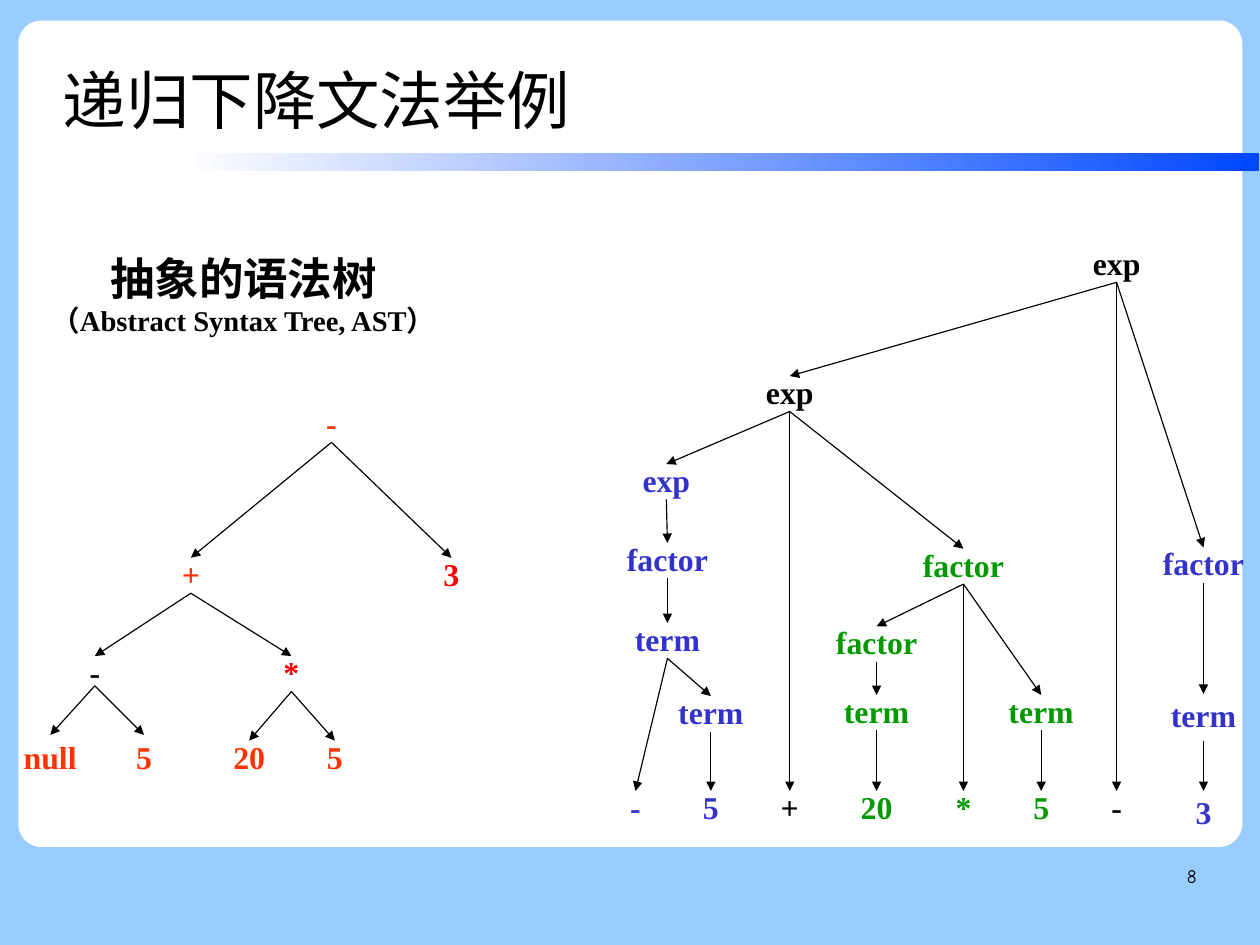
from dataclasses import dataclass

from lxml.etree import SubElement
from pptx import Presentation
from pptx.dml.color import RGBColor
from pptx.enum.shapes import MSO_CONNECTOR as CONN, MSO_SHAPE as SHAPE
from pptx.enum.text import MSO_ANCHOR as ANCHOR, MSO_AUTO_SIZE as AUTO, PP_ALIGN as ALIGN
from pptx.oxml.ns import qn
from pptx.util import Inches, Pt

BLACK, BLUE, GREEN = "000000", "3333CC", "009900"
ORANGE, RED, WHITE = "FF3300", "FF0000", "FFFFFF"
SERIF, CJK = "Times New Roman", "Noto Sans CJK SC"
NODE_WIDTHS = {"exp": 0.42, "term": 0.57, "factor": 0.71, "null": 0.46,
               "20": 0.28, "+": 0.16, "-": 0.09}
NODE_HEIGHT = 0.31
LEAF_Y = 6.92


def rgb(color):
    return RGBColor.from_string(color)


@dataclass
class Node:
    text: str
    x: float
    y: float
    color: str
    kids: tuple = ()
    pad: float = 0
    lift: float = 0


class Slide:
    def __init__(self, prs, background):
        self.s = prs.slides.add_slide(prs.slide_layouts[5])
        fill = self.s.background.fill
        fill.solid()
        fill.fore_color.rgb = rgb(background)

    def shape(self, kind, *box):
        sp = self.s.shapes.add_shape(kind, *map(Inches, box))
        sp.shadow.inherit = False
        sp.line.fill.background()
        return sp

    def panel(self, color, *box):
        sp = self.shape(SHAPE.ROUNDED_RECTANGLE, *box)
        sp.adjustments[0] = 0.028
        sp.fill.solid()
        sp.fill.fore_color.rgb = rgb(color)

    def gradient_bar(self, colors, *box):
        sp = self.shape(SHAPE.RECTANGLE, *box)
        sp.fill.gradient()
        sp.fill.gradient_angle = 0
        for stop, color in zip(sp.fill.gradient_stops, colors):
            stop.color.rgb = rgb(color)

    def format(self, p, size, font, color=BLACK, bold=False, align=ALIGN.LEFT, spacing=0.93):
        p.alignment = align
        p.line_spacing = spacing
        for r in p.runs:
            r.font.size = Pt(size)
            r.font.name = font
            r.font.bold = bold
            r.font.color.rgb = rgb(color)
            SubElement(r.font._element, qn("a:ea"), typeface=CJK)

    def frame(self, sp, anchor=ANCHOR.TOP, pad_x=0, pad_y=0, wrap=True):
        tf = sp.text_frame
        tf.word_wrap = wrap
        tf.auto_size = AUTO.NONE
        tf.vertical_anchor = anchor
        tf.margin_left = tf.margin_right = Inches(pad_x)
        tf.margin_top = tf.margin_bottom = Inches(pad_y)
        return tf

    def title(self, text, *box):
        sp = self.s.shapes.title
        sp.left, sp.top, sp.width, sp.height = map(Inches, box)
        self.s.shapes._spTree.append(sp._element)
        tf = self.frame(sp, ANCHOR.MIDDLE)
        tf.text = text
        self.format(tf.paragraphs[0], 40, "Arial", spacing=1.1)

    def text(self, lines, *box, pad_x=0, pad_y=0, wrap=True, **style):
        sp = self.s.shapes.add_textbox(*map(Inches, box))
        tf = self.frame(sp, pad_x=pad_x, pad_y=pad_y, wrap=wrap)
        tf.text = "\n".join(line for line, _, _ in lines)
        for p, (_, size, font) in zip(tf.paragraphs, lines):
            self.format(p, size, font, **style)
        return sp

    def arrow(self, parent, child, lift):
        x1, y1 = parent.left + parent.width // 2, parent.top + parent.height
        x2, y2 = child.left + child.width // 2, child.top
        rise = Inches(lift)
        cn = self.s.shapes.add_connector(CONN.STRAIGHT, x1, y1 - rise, x2, y2 - rise)
        if not lift:
            cn.begin_connect(parent, 2)
            cn.end_connect(child, 0)
        cn.line.color.rgb = rgb(BLACK)
        cn.line.width = Pt(0.75)
        SubElement(cn.line._get_or_add_ln(), qn("a:tailEnd"), type="triangle")
        SubElement(cn._element.spPr, qn("a:effectLst"))

    def tree(self, node):
        width = NODE_WIDTHS.get(node.text, 0.14)
        sp = self.text([(node.text, 20, SERIF)], node.x - width / 2, node.y, width,
                       NODE_HEIGHT + 2 * node.pad, pad_y=node.pad, wrap=False,
                       color=node.color, bold=True, align=ALIGN.CENTER)
        for kid in node.kids:
            self.arrow(sp, self.tree(kid), node.lift)
        return sp


def leaf(text, x, color, pad=0):
    return Node(text, x, LEAF_Y, color, pad=pad)


def term(x, y, color, text, pad=0):
    return Node("term", x, y, color, (leaf(text, x, color, pad),), pad)


def parse_tree():
    negative = Node("term", 5.84, 5.45, BLUE, (
        leaf("-", 5.56, BLUE), term(6.22, 6.09, BLUE, "5")))
    first = Node("exp", 5.83, 4.06, BLUE, (
        Node("factor", 5.84, 4.75, BLUE, (negative,)),))
    product = Node("factor", 8.43, 4.8, GREEN, (
        Node("factor", 7.67, 5.48, GREEN, (term(7.67, 6.08, GREEN, "20"),)),
        leaf("*", 8.43, GREEN),
        term(9.11, 6.08, GREEN, "5")))
    total = Node("exp", 6.91, 3.29, BLACK, (first, leaf("+", 6.91, BLACK), product))
    last = Node("factor", 10.53, 4.79, BLUE, (term(10.53, 6.07, BLUE, "3", 0.05),))
    return Node("exp", 9.77, 2.16, BLACK, (total, leaf("-", 9.77, BLACK), last))


def syntax_tree():
    y = 6.48
    negative = Node("-", 0.83, 5.74, BLACK, (
        Node("null", 0.44, y, ORANGE), Node("5", 1.26, y, ORANGE)), lift=0.05)
    product = Node("*", 2.55, 5.74, RED, (
        Node("20", 2.18, y, ORANGE), Node("5", 2.93, y, ORANGE)))
    total = Node("+", 1.67, 4.88, ORANGE, (negative, product))
    return Node("-", 2.9, 3.56, ORANGE, (total, Node("3", 3.95, 4.88, RED)))


def main():
    prs = Presentation()
    prs.slide_width, prs.slide_height = Pt(793.75), Pt(595.25)
    slide = Slide(prs, "99CCFF")
    slide.panel(WHITE, 0.16, 0.18, 10.71, 7.23)
    slide.gradient_bar((WHITE, "0047FF"), 1.57, 1.34, 9.45, 0.16)
    slide.title("递归下降文法举例", 0.55, 0.33, 8.58, 1.01)
    slide.text([("8", 12, "Comic Neue")], 7.9, 7.53, 2.57, 0.57,
               align=ALIGN.RIGHT, spacing=1.16)
    slide.tree(parse_tree())
    slide.tree(syntax_tree())
    slide.text([("抽象的语法树", 28, CJK), ("（Abstract Syntax Tree, AST）", 18, SERIF)],
               0.27, 2.19, 3.72, 0.82, pad_x=0.1, pad_y=0.05,
               bold=True, align=ALIGN.CENTER)
    prs.save("out.pptx")


if __name__ == "__main__":
    main()
